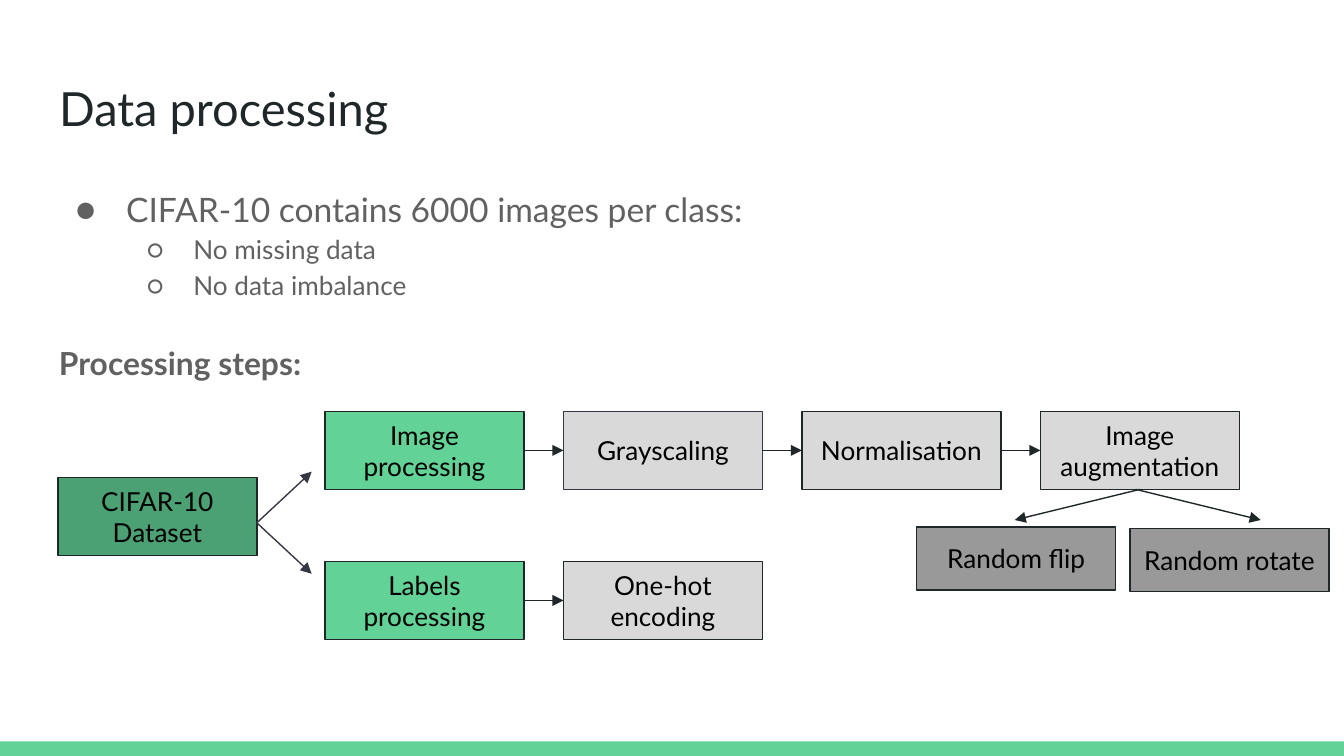
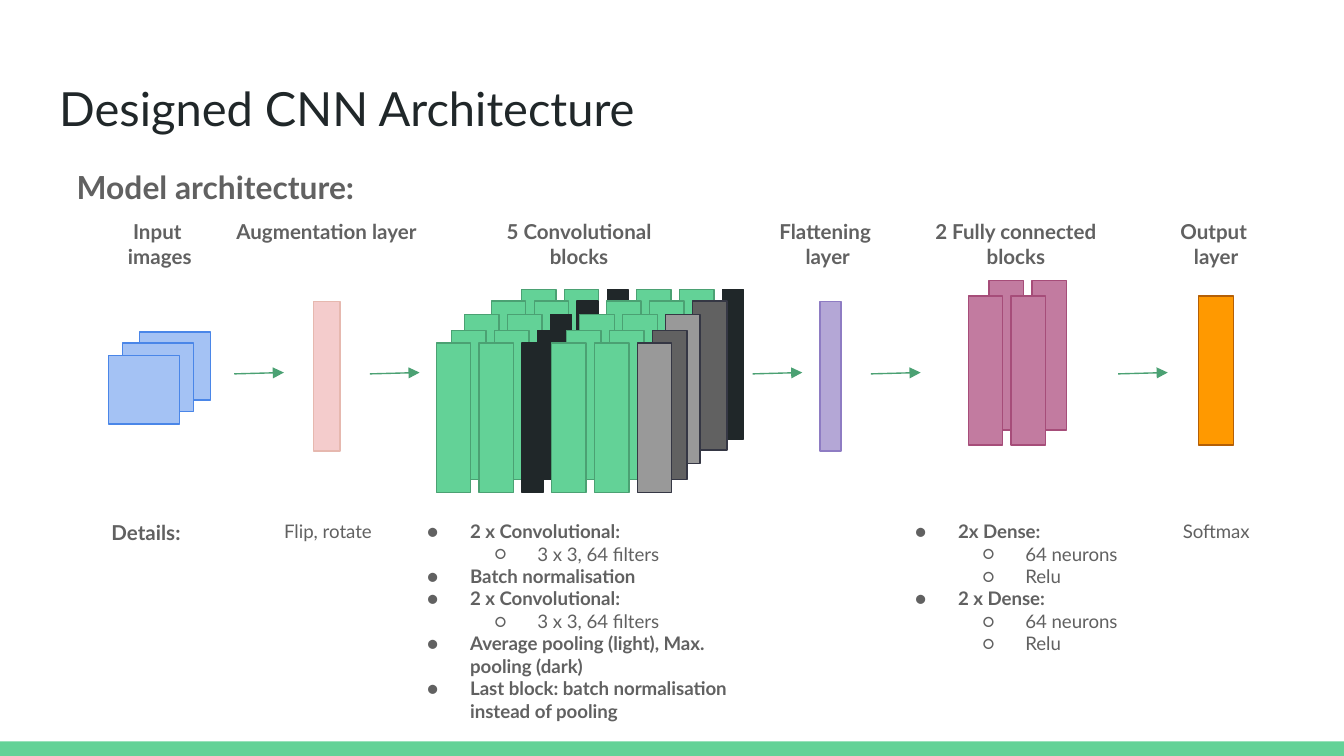
import pptx
import pptx.util
import pptx.dml.color
import pptx.enum.shapes
import pptx.enum.text
import pptx.oxml.ns
import pptx.oxml.xmlchemy

Pt = pptx.util.Pt
RGBColor = pptx.dml.color.RGBColor
PP_ALIGN = pptx.enum.text.PP_ALIGN
MSO_ANCHOR = pptx.enum.text.MSO_ANCHOR
OxmlElement = pptx.oxml.xmlchemy.OxmlElement
qn = pptx.oxml.ns.qn

FONT = "Lato"
INSET = 7.2
LINE_WIDTH = 0.75
INK = RGBColor(0x20, 0x27, 0x29)
SLATE = RGBColor(0x35, 0x37, 0x44)
GREY_TEXT = RGBColor(0x61, 0x61, 0x61)
BLACK = RGBColor(0, 0, 0)
GREEN = RGBColor(0x63, 0xD2, 0x97)
DARK_GREEN = RGBColor(0x4B, 0xA1, 0x73)
LIGHT_GREY = RGBColor(0xD9, 0xD9, 0xD9)
MID_GREY = RGBColor(0x99, 0x99, 0x99)
SKY = RGBColor(0xA4, 0xC2, 0xF4)
BLUE = RGBColor(0x4A, 0x86, 0xE8)
PINK = RGBColor(0xF4, 0xCC, 0xCC)
ROSE = RGBColor(0xE6, 0xB8, 0xAF)
LILAC = RGBColor(0xB4, 0xA7, 0xD6)
VIOLET = RGBColor(0x8E, 0x7C, 0xC3)
MAUVE = RGBColor(0xC2, 0x7B, 0xA0)
PLUM = RGBColor(0xA6, 0x4D, 0x79)
ORANGE = RGBColor(0xFF, 0x99, 0x00)
BROWN = RGBColor(0xB4, 0x5F, 0x06)

STEP_W, STEP_H = 106.6, 41.8
LAYER_W, THIN_W, LAYER_H, LAYER_GAP = 18.5, 11.2, 80, 4.5


def format_frame(frame, size, color, bold=False, align=None, anchor=MSO_ANCHOR.TOP):
    frame.word_wrap = True
    frame.auto_size = pptx.enum.text.MSO_AUTO_SIZE.NONE
    frame.vertical_anchor = anchor
    frame.margin_left = frame.margin_right = Pt(INSET)
    frame.margin_top = frame.margin_bottom = Pt(INSET)
    for paragraph in frame.paragraphs:
        paragraph.alignment = align
        for run in paragraph.runs:
            run.font.name = FONT
            run.font.size = Pt(size)
            run.font.bold = bold
            run.font.color.rgb = color


def add_label(slide, text, left, top, width, height, size, bold=False, align=None):
    label = slide.shapes.add_textbox(Pt(left), Pt(top), Pt(width), Pt(height))
    label.text_frame.text = text
    format_frame(label.text_frame, size, GREY_TEXT, bold, align)
    return label.text_frame


def add_bullets(slide, items, left, top, width, height, sizes, hangs, bold_top, spacing=None):
    text = "\n".join(line for level, line in items)
    frame = add_label(slide, text, left, top, width, height, sizes[0])
    for paragraph, (level, line) in zip(frame.paragraphs, items):
        paragraph.level = level
        if spacing:
            paragraph.line_spacing = spacing
        paragraph.runs[0].font.size = Pt(sizes[level])
        paragraph.runs[0].font.bold = bold_top and level == 0
        properties = paragraph._p.get_or_add_pPr()
        properties.set("marL", str(Pt(36 * (level + 1))))
        properties.set("indent", str(Pt(-hangs[level])))
        color = OxmlElement("a:buClr")
        rgb = OxmlElement("a:srgbClr")
        rgb.set("val", str(GREY_TEXT))
        color.append(rgb)
        font = OxmlElement("a:buFont")
        font.set("typeface", FONT)
        bullet = OxmlElement("a:buChar")
        bullet.set("char", "●○"[level])
        properties.extend([color, font, bullet])


def add_box(shapes, left, top, width, height, fill, line=None):
    box = shapes.add_shape(pptx.enum.shapes.MSO_SHAPE.RECTANGLE,
                           Pt(left), Pt(top), Pt(width), Pt(height))
    box.shadow.inherit = False
    box.fill.solid()
    box.fill.fore_color.rgb = fill
    if line is None:
        box.line.fill.background()
    else:
        box.line.color.rgb = line
        box.line.width = Pt(LINE_WIDTH)
    return box


def add_arrow(slide, start, end, color):
    arrow = slide.shapes.add_connector(pptx.enum.shapes.MSO_CONNECTOR.STRAIGHT,
                                       *(Pt(value) for value in (*start, *end)))
    arrow.line.color.rgb = color
    arrow.line.width = Pt(LINE_WIDTH)
    properties = arrow.element.spPr
    head = OxmlElement("a:tailEnd")
    head.set("type", "triangle")
    properties.find(qn("a:ln")).append(head)
    properties.append(OxmlElement("a:effectLst"))
    return arrow


def add_titled_slide(deck, title):
    slide = deck.slides.add_slide(deck.slide_layouts[5])
    add_box(slide.shapes, 0, 397.2, 720, 7.8, GREEN)
    heading = slide.shapes.title
    heading.left, heading.top, heading.width, heading.height = Pt(24.5), Pt(35.3), Pt(671), Pt(45.4)
    heading.text_frame.text = title
    format_frame(heading.text_frame, 25.2, INK, align=PP_ALIGN.LEFT)
    return slide


def add_step(slide, text, left, top, fill, height=STEP_H, line=INK):
    step = add_box(slide.shapes, left, top, STEP_W, height, fill, line)
    step.text_frame.text = text
    format_frame(step.text_frame, 14, BLACK, align=PP_ALIGN.CENTER, anchor=MSO_ANCHOR.MIDDLE)
    return step


def add_processing_flow(slide, left, top):
    first_column, pitch, label_row = left + 143.1, 127.75, top + 80.4
    rows = [
        (top, [("Image\nprocessing", GREEN, INK), ("Grayscaling", LIGHT_GREY, SLATE),
               ("Normalisation", LIGHT_GREY, INK), ("Image\naugmentation", LIGHT_GREY, INK)]),
        (label_row, [("Labels processing", GREEN, INK), ("One-hot encoding", LIGHT_GREY, INK)]),
    ]
    add_step(slide, "CIFAR-10 Dataset", left, top + 35.4, DARK_GREEN)
    fork = (left + STEP_W, top + 59.7)
    for tip in (32.3, 87):
        add_arrow(slide, fork, (left + 136, top + tip), SLATE)

    last_steps = []
    for row_top, steps in rows:
        previous = None
        for column, (text, fill, line) in enumerate(steps):
            step = add_step(slide, text, first_column + column * pitch, row_top, fill, line=line)
            if previous is not None:
                arrow = add_arrow(slide, (0, 0), (0, 0), INK)
                arrow.begin_connect(previous, 3)
                arrow.end_connect(step, 1)
            previous = step
        last_steps.append(previous)
    augmentation = last_steps[0]

    add_step(slide, "Random flip", left + 460.1, top + 61.9, MID_GREY, 33.8)
    add_step(slide, "Random rotate", left + 574.3, top + 62.7, MID_GREY, 33.8)
    split_top, split_end = top + STEP_H, top + 58.2
    flip_arrow = add_arrow(slide, (left + 579.5, split_top), (left + 512.6, split_end), INK)
    flip_arrow.begin_connect(augmentation, 2)
    add_arrow(slide, (left + 577.5, split_top), (left + 644.4, split_end), INK)


def add_layers(group, left, top, layers):
    for width, fill, line in layers:
        add_box(group.shapes, left, top, width, LAYER_H, fill, line)
        left += width + LAYER_GAP


def add_input_images(slide, left, top):
    group = slide.shapes.add_group_shape()
    for dx, dy in ((16.7, 0), (7.6, 6), (0, 12.7)):
        add_box(group.shapes, left + dx, top + dy, 38.2, 36.6, SKY, BLUE)


def add_convolution_blocks(slide, left, top):
    conv = (LAYER_W, GREEN, DARK_GREEN)
    norm = (THIN_W, INK, INK)
    average_pool = (LAYER_W, MID_GREY, SLATE)
    max_pool = (LAYER_W, GREY_TEXT, SLATE)
    blocks = [(45.6, 0, norm), (29.5, 6, max_pool), (15.2, 13.2, average_pool),
              (8.1, 21.9, max_pool), (0, 28.6, average_pool)]
    group = slide.shapes.add_group_shape()
    for dx, dy, closing in blocks:
        add_layers(group, left + dx, top + dy, [conv, conv, norm, conv, conv, closing])


def add_dense_blocks(slide, left, top):
    dense = (LAYER_W, MAUVE, PLUM)
    for dx, dy in ((11.1, 0), (0, 8.1)):
        add_layers(slide.shapes.add_group_shape(), left + dx, top + dy, [dense, dense])


def add_network(slide, left, top):
    headings = [("Input \nimages", 0), ("Augmentation layer", 89.3), ("5 Convolutional blocks", 224.6),
                ("Flattening \nlayer", 357.8), ("2 Fully connected blocks", 458.6),
                ("Output \nlayer", 565.9)]
    for text, dx in headings:
        add_label(slide, text, left + dx, top, 110.9, 38.2, 11, True, PP_ALIGN.CENTER)

    add_input_images(slide, left + 27.8, top + 67.6)
    add_box(slide.shapes, left + 137.6, top + 51.4, 14.4, LAYER_H, PINK, ROSE)
    add_convolution_blocks(slide, left + 203.5, top + 45)
    add_box(slide.shapes, left + 409.2, top + 51.4, 11.1, LAYER_H, LILAC, VIOLET)
    add_dense_blocks(slide, left + 488.5, top + 40.2)
    add_box(slide.shapes, left + 612, top + 48.3, LAYER_W, LAYER_H, ORANGE, BROWN)

    for dx in (95.3, 168, 373, 436.4, 568.8):
        add_arrow(slide, (left + dx, top + 90.1), (left + dx + 26.6, top + 89.4), DARK_GREEN)


def add_layer_details(slide, left, top):
    add_label(slide, "Details:", left, top, 65.5, 38.2, 11, True)
    for text, dx in (("Flip, rotate", 83.5), ("Softmax", 559.4)):
        add_label(slide, text, left + dx, top, 79.2, 26.6, 10, align=PP_ALIGN.CENTER)
    convolution = [(0, "2 x Convolutional:"), (1, "3 x 3, 64 filters")]
    conv_items = [
        *convolution,
        (0, "Batch normalisation"),
        *convolution,
        (0, "Average pooling (light), Max. pooling (dark)"),
        (0, "Last block: batch normalisation instead of pooling"),
    ]
    neurons = [(1, "64 neurons"), (1, "Relu")]
    dense_items = [(0, "2x Dense:"), *neurons, (0, "2 x Dense:"), *neurons]
    for items, dx, width, height in ((conv_items, 156.2, 208, 113.8), (dense_items, 417.6, 146.9, 119.5)):
        add_bullets(slide, items, left + dx, top, width, height, (10, 10), (23, 23), True)


def build_processing_slide(deck):
    slide = add_titled_slide(deck, "Data processing")
    facts = [(0, "CIFAR-10 contains 6000 images per class:"),
             (1, "No missing data"), (1, "No data imbalance")]
    add_bullets(slide, facts, 24.5, 90.7, 671, 269.3, (18, 14), (27, 25), False, 1.15)
    add_processing_flow(slide, 31, 220.4)
    add_label(slide, "Processing steps:", 24.5, 177.1, 202.3, 38.2, 17, True)


def build_architecture_slide(deck):
    slide = add_titled_slide(deck, "Designed CNN Architecture")
    add_label(slide, "Model architecture:", 34, 82.8, 202.3, 38.2, 17, True)
    add_network(slide, 30.2, 110.2)
    add_layer_details(slide, 52.6, 271.4)


def main():
    deck = pptx.Presentation()
    deck.slide_width, deck.slide_height = Pt(720), Pt(405)
    build_processing_slide(deck)
    build_architecture_slide(deck)
    deck.save("out.pptx")


if __name__ == "__main__":
    main()
